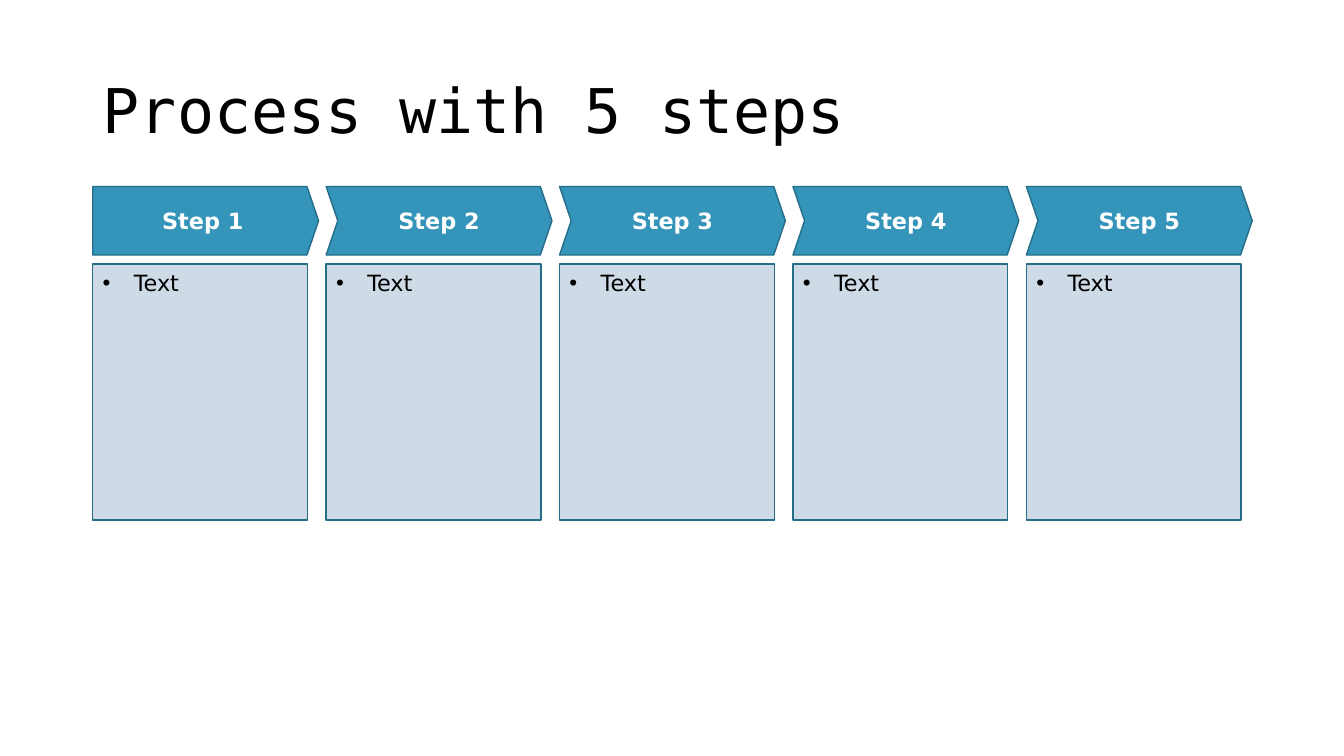
import pptx
import pptx.dml.color
import pptx.enum.shapes
import pptx.enum.text
import pptx.util
from lxml import etree
from pptx.oxml.ns import qn

RGBColor = pptx.dml.color.RGBColor
Inches = pptx.util.Inches
Pt = pptx.util.Pt
MSO_SHAPE = pptx.enum.shapes.MSO_SHAPE
PP_ALIGN = pptx.enum.text.PP_ALIGN
MSO_ANCHOR = pptx.enum.text.MSO_ANCHOR

BLACK = RGBColor(0x00, 0x00, 0x00)
WHITE = RGBColor(0xFF, 0xFF, 0xFF)
STEP_BLUE = RGBColor(0x34, 0x94, 0xBA)
EDGE_BLUE = RGBColor(0x26, 0x6D, 0x8A)
PANEL_BLUE = RGBColor(0xCE, 0xDB, 0xE6)

TITLE_FONT = "DejaVu Sans Mono"
TEXT_FONT = "DejaVu Sans"

STEPS = [(f"Step {number}", "Text") for number in range(1, 6)]
LEFT, TOTAL_WIDTH = 0.92, 11.5
ARROW_TOP, ARROW_WIDTH, ARROW_HEIGHT = 1.85, 2.24, 0.68
PANEL_TOP, PANEL_WIDTH, PANEL_HEIGHT = 2.62, 2.13, 2.54
PITCH = (TOTAL_WIDTH - ARROW_WIDTH) / (len(STEPS) - 1)


def add_run(paragraph, text, size, color, font=TEXT_FONT, bold=False):
    """Append one formatted run to a paragraph."""
    run = paragraph.add_run()
    run.text = text
    run.font.name = font
    run.font.size = Pt(size)
    run.font.bold = bold
    run.font.color.rgb = color


def set_title(slide, text):
    """Place and fill the title placeholder."""
    title = slide.shapes.title
    title.left, title.top = Inches(LEFT), Inches(0.4)
    title.width, title.height = Inches(TOTAL_WIDTH), Inches(1.45)
    frame = title.text_frame
    frame.word_wrap = True
    frame.auto_size = pptx.enum.text.MSO_AUTO_SIZE.NONE
    frame.vertical_anchor = MSO_ANCHOR.MIDDLE
    heading = frame.paragraphs[0]
    heading.alignment = PP_ALIGN.LEFT
    heading.line_spacing = 0.9
    add_run(heading, text, 44, BLACK, TITLE_FONT)


def add_block(slide, preset, left, top, width, height, fill):
    """Add a filled, outlined shape without a shadow."""
    block = slide.shapes.add_shape(
        preset, Inches(left), Inches(top), Inches(width), Inches(height))
    block.shadow.inherit = False
    block.fill.solid()
    block.fill.fore_color.rgb = fill
    block.line.color.rgb = EDGE_BLUE
    block.line.width = Pt(1)
    block.text_frame.word_wrap = True
    return block


def add_step_arrow(slide, preset, left, label):
    """Add the arrow that names a step."""
    arrow = add_block(slide, preset, left, ARROW_TOP, ARROW_WIDTH,
                      ARROW_HEIGHT, STEP_BLUE)
    arrow.adjustments[0] = 0.17
    arrow.text_frame.vertical_anchor = MSO_ANCHOR.MIDDLE
    caption = arrow.text_frame.paragraphs[0]
    caption.alignment = PP_ALIGN.CENTER
    add_run(caption, label, 16, WHITE, bold=True)


def set_bullet(paragraph, indent):
    """Give a paragraph a round bullet with a hanging indent."""
    properties = paragraph._p.get_or_add_pPr()
    properties.set("marL", str(Inches(indent)))
    properties.set("indent", str(-Inches(indent)))
    etree.SubElement(properties, qn("a:buFont"), typeface="Arial")
    etree.SubElement(properties, qn("a:buChar"), char="•")


def add_step_panel(slide, left, detail):
    """Add the panel that lists the details of a step."""
    panel = add_block(slide, MSO_SHAPE.RECTANGLE, left, PANEL_TOP,
                      PANEL_WIDTH, PANEL_HEIGHT, PANEL_BLUE)
    panel.text_frame.vertical_anchor = MSO_ANCHOR.TOP
    item = panel.text_frame.paragraphs[0]
    item.alignment = PP_ALIGN.LEFT
    item.space_after = Pt(6)
    set_bullet(item, 0.31)
    add_run(item, detail, 16, BLACK)


def main():
    """Build the process slide and save it."""
    presentation = pptx.Presentation()
    presentation.slide_width = Inches(13.33)
    presentation.slide_height = Inches(7.5)
    title_only = presentation.slide_layouts[5]
    slide = presentation.slides.add_slide(title_only)

    set_title(slide, "Process with 5 steps")
    for position, (label, detail) in enumerate(STEPS):
        left = LEFT + position * PITCH
        preset = MSO_SHAPE.CHEVRON if position else MSO_SHAPE.PENTAGON
        add_step_arrow(slide, preset, left, label)
        add_step_panel(slide, left, detail)

    presentation.save("out.pptx")


main()
